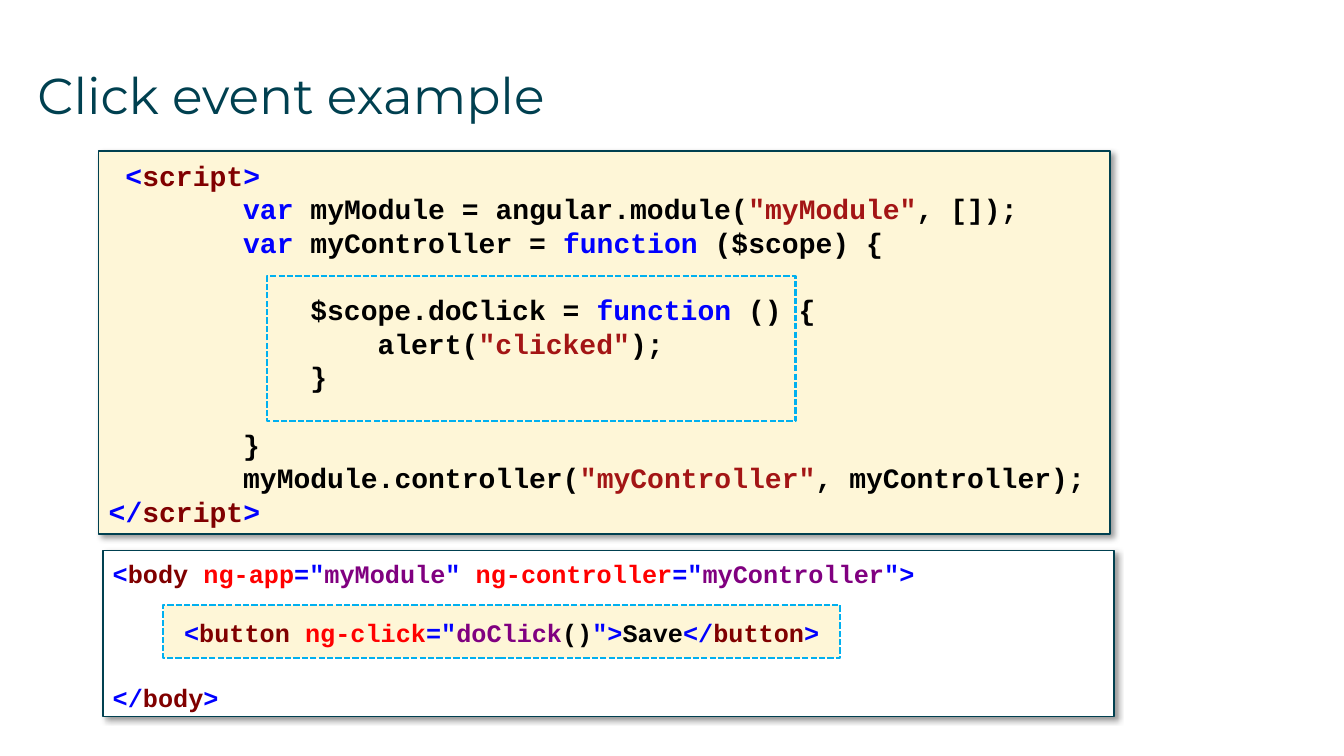
import pptx
import pptx.util
import pptx.dml.color
import pptx.enum.dml
import pptx.enum.shapes
import pptx.enum.text
from lxml import etree

PX = 9144  # 100 px to the inch
CODE_FONT = "Courier New"
TEAL, CREAM, WHITE, SKY = "004050", "FEF6D7", "FFFFFF", "00B0F0"
BLACK, BLUE, MAROON = "000000", "0000FF", "800000"
RED, PURPLE, BRICK = "FF0000", "800080", "A31515"
ANCHOR = pptx.enum.text.MSO_ANCHOR
ALIGN = pptx.enum.text.PP_ALIGN

# Each code line: indent in characters, blank space before in points, coloured spans
SCRIPT_LINES = [
    (1, 0, [("<", BLUE), ("script", MAROON), (">", BLUE)]),
    (8, 0, [("var ", BLUE), ("myModule = angular.module(", BLACK),
            ('"myModule"', BRICK), (", []);", BLACK)]),
    (8, 0, [("var ", BLUE), ("myController = ", BLACK),
            ("function", BLUE), (" ($scope) {", BLACK)]),
    (12, 24, [("$scope.doClick = ", BLACK), ("function", BLUE), (" () {", BLACK)]),
    (16, 0, [("alert(", BLACK), ('"clicked"', BRICK), (");", BLACK)]),
    (12, 0, [("}", BLACK)]),
    (8, 24, [("}", BLACK)]),
    (8, 0, [("myModule.controller(", BLACK), ('"myController"', BRICK),
            (", myController);", BLACK)]),
    (0, 0, [("</", BLUE), ("script", MAROON), (">", BLUE)]),
]
BODY_LINES = [
    (0, 0, [("<", BLUE), ("body ", MAROON), ("ng-app", RED), ('="', BLUE),
            ("myModule", PURPLE), ('" ', BLUE), ("ng-controller", RED),
            ('="', BLUE), ("myController", PURPLE), ('">', BLUE)]),
    (0, 67, [("</", BLUE), ("body", MAROON), (">", BLUE)]),
]
BUTTON_LINES = [
    (0, 0, [("<", BLUE), ("button ", MAROON), ("ng-click", RED), ('="', BLUE),
            ("doClick", PURPLE), ("()", BLACK), ('">', BLUE), ("Save", BLACK),
            ("</", BLUE), ("button", MAROON), (">", BLUE)]),
]


def colour(value):
    return pptx.dml.color.RGBColor.from_string(value)


def apply(target, values):
    for name, value in values.items():
        setattr(target, name, value)


def place(shape, box):
    names = ("left", "top", "width", "height")
    apply(shape, {name: length * PX for name, length in zip(names, box)})


def add_title(page, box, text):
    title = page.shapes.title
    place(title, box)
    frame = title.text_frame
    apply(frame, {"margin_left": 0, "margin_right": 0, "margin_top": 3 * PX,
                  "margin_bottom": 0, "word_wrap": True,
                  "vertical_anchor": ANCHOR.TOP,
                  "auto_size": pptx.enum.text.MSO_AUTO_SIZE.NONE})
    para = frame.paragraphs[0]
    para.alignment = ALIGN.LEFT
    span = para.add_run()
    span.text = text
    apply(span.font, {"name": "Montserrat", "size": pptx.util.Pt(36)})
    span.font.color.rgb = colour(TEAL)


def add_rectangle(page, box, fill, line, width):
    shape = page.shapes.add_shape(
        pptx.enum.shapes.MSO_SHAPE.RECTANGLE, *[length * PX for length in box])
    shape.shadow.inherit = False
    if fill:
        shape.fill.solid()
        shape.fill.fore_color.rgb = colour(fill)
    else:
        shape.fill.background()
    shape.line.color.rgb = colour(line)
    shape.line.width = pptx.util.Pt(width)
    return shape


def add_shadow(shape):
    tag = pptx.oxml.ns.qn
    effects = shape._element.spPr.find(tag("a:effectLst"))
    shadow = etree.SubElement(effects, tag("a:outerShdw"), {
        "blurRad": str(pptx.util.Pt(4)), "dist": str(pptx.util.Pt(3)),
        "dir": str(45 * 60000), "algn": "tl", "rotWithShape": "0"})
    black = etree.SubElement(shadow, tag("a:srgbClr"), {"val": BLACK})
    etree.SubElement(black, tag("a:alpha"), {"val": "40000"})


def write_code(shape, lines, size, pitch, anchor=ANCHOR.TOP, align=ALIGN.LEFT):
    frame = shape.text_frame
    apply(frame, {"word_wrap": True, "vertical_anchor": anchor,
                  "margin_top": 7 * PX})
    for index, (indent, gap, spans) in enumerate(lines):
        para = frame.add_paragraph() if index else frame.paragraphs[0]
        apply(para, {"alignment": align, "space_before": pptx.util.Pt(gap),
                     "line_spacing": pptx.util.Pt(pitch)})
        # A Courier character is 0.6 em wide
        margin = pptx.util.Pt(indent * size * 0.6)
        para._p.get_or_add_pPr().set("marL", str(margin))
        for text, ink in spans:
            span = para.add_run()
            span.text = text
            apply(span.font, {"name": CODE_FONT, "bold": True,
                              "size": pptx.util.Pt(size)})
            span.font.color.rgb = colour(ink)


def add_code_panel(page, box, fill, lines, size, pitch):
    panel = add_rectangle(page, box, fill, TEAL, 1)
    add_shadow(panel)
    write_code(panel, lines, size, pitch)


def add_highlight(page, box, fill=None):
    frame = add_rectangle(page, box, fill, SKY, 1.5)
    frame.line.dash_style = pptx.enum.dml.MSO_LINE.SQUARE_DOT
    return frame


def build_example(deck):
    page = deck.slides.add_slide(deck.slide_layouts[5])
    add_title(page, (37, 61, 1260, 88), "Click event example")

    # Code panels
    add_code_panel(page, (98, 150, 1003, 380), CREAM, SCRIPT_LINES, 20, 24)
    add_code_panel(page, (102, 546, 1003, 165), WHITE, BODY_LINES, 18, 22)

    # Dashed highlights on the click handler and the button
    add_highlight(page, (265, 274, 524, 144))
    button = add_highlight(page, (162, 600, 671, 53), CREAM)
    write_code(button, BUTTON_LINES, 18, 22, ANCHOR.MIDDLE, ALIGN.CENTER)


def main():
    deck = pptx.Presentation()
    apply(deck, {"slide_width": 1333 * PX, "slide_height": 750 * PX})
    build_example(deck)
    deck.save("out.pptx")


if __name__ == "__main__":
    main()
